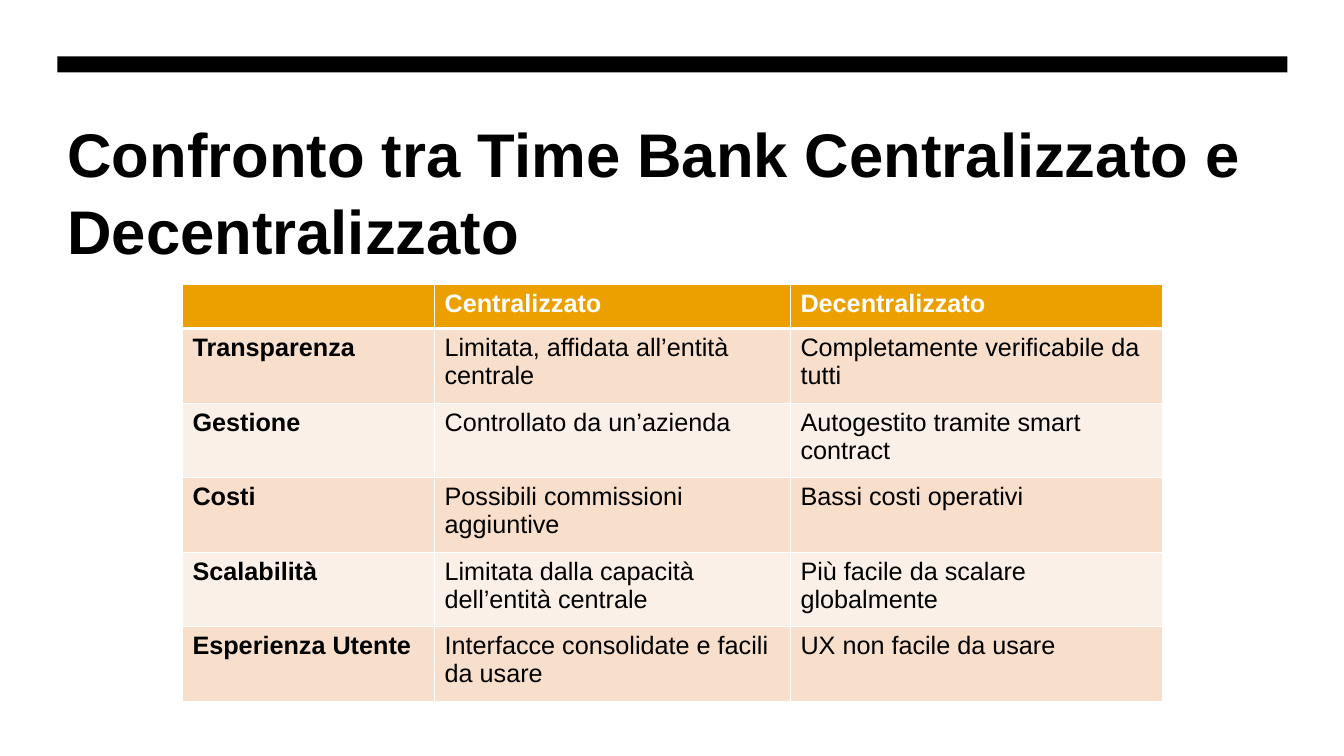
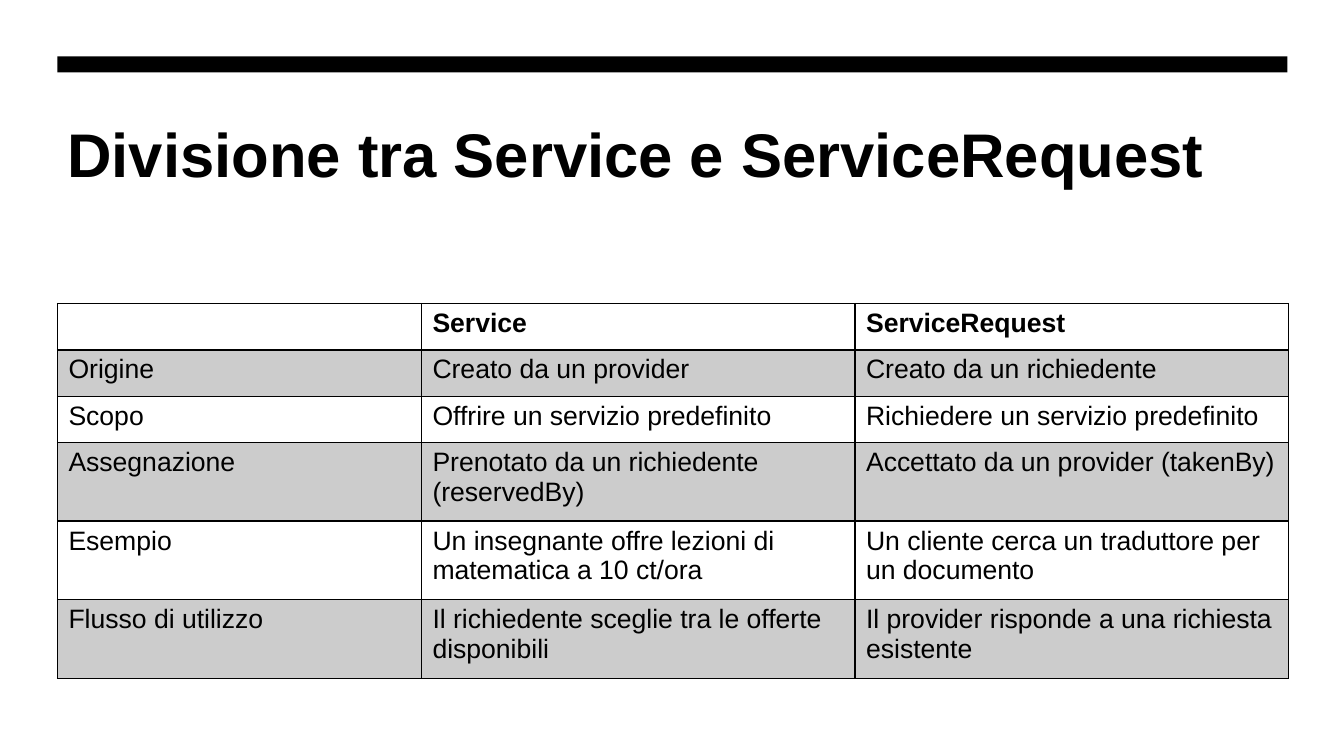
from lxml.etree import SubElement
from pptx import Presentation
from pptx.dml.color import RGBColor
from pptx.enum.shapes import MSO_SHAPE
from pptx.enum.text import MSO_ANCHOR
from pptx.oxml.ns import qn
from pptx.util import Emu, Inches, Pt

FONT = "Arial"
COLORS = {
    "black": "000000",
    "white": "FFFFFF",
    "orange": "EBA000",
    "peach": "F7DFCC",
    "cream": "FBF0E7",
    "gray": "CCCCCC",
}
SLIDE_WIDTH, SLIDE_HEIGHT = 13.33, 7.5
MARGIN = 0.57
CONTENT_WIDTH = 12.2
BAND_TOP, BAND_HEIGHT = 0.56, 0.16
TITLE_TOP, TITLE_HEIGHT = 1.07, 1.6

COMPARISONS = [
    {
        "title": "Confronto tra Time Bank Centralizzato e Decentralizzato",
        "rows": [
            ("", "Centralizzato", "Decentralizzato"),
            ("Transparenza", "Limitata, affidata all’entità centrale",
             "Completamente verificabile da tutti"),
            ("Gestione", "Controllato da un’azienda",
             "Autogestito tramite smart contract"),
            ("Costi", "Possibili commissioni aggiuntive",
             "Bassi costi operativi"),
            ("Scalabilità", "Limitata dalla capacità dell’entità centrale",
             "Più facile da scalare globalmente"),
            ("Esperienza Utente", "Interfacce consolidate e facili da usare",
             "UX non facile da usare"),
        ],
        "left": 1.81,
        "top": 2.82,
        "columns": (2.5, 3.53, 3.69),
        "heights": (0.44,) + (0.74,) * 5,
        "style": {
            "size": 18, "inset": 0.1, "bold_labels": True,
            "header_fill": "orange", "header_color": "white",
            "bands": ("peach", "cream"), "border": "white", "header_rule": 3,
        },
    },
    {
        "title": "Divisione tra Service e ServiceRequest",
        "rows": [
            ("", "Service", "ServiceRequest"),
            ("Origine", "Creato da un provider", "Creato da un richiedente"),
            ("Scopo", "Offrire un servizio predefinito",
             "Richiedere un servizio predefinito"),
            ("Assegnazione", "Prenotato da un richiedente (reservedBy)",
             "Accettato da un provider (takenBy)"),
            ("Esempio", "Un insegnante offre lezioni di matematica a 10 ct/ora",
             "Un cliente cerca un traduttore per un documento"),
            ("Flusso di utilizzo",
             "Il richiedente sceglie tra le offerte disponibili",
             "Il provider risponde a una richiesta esistente"),
        ],
        "left": MARGIN,
        "top": 3.01,
        "columns": (3.61, 4.3, 4.3),
        "heights": (0.46,) * 3 + (0.78,) * 3,
        "style": {
            "size": 19, "inset": 0.11, "bold_labels": False,
            "header_fill": "white", "header_color": "black",
            "bands": ("gray", "white"), "border": "black", "header_rule": 2,
        },
    },
]


def rgb(name):
    return RGBColor.from_string(COLORS[name])


def write_text(text_frame, text, size, color="black", bold=False, spacing=None):
    text_frame.word_wrap = True
    paragraph = text_frame.paragraphs[0]
    paragraph.font.size = Pt(size)
    if spacing:
        paragraph.line_spacing = spacing
    if text:
        run = paragraph.add_run()
        run.text = text
        run.font.name = FONT
        run.font.size = Pt(size)
        run.font.bold = bold
        run.font.color.rgb = rgb(color)


def set_borders(cell, color, widths):
    properties = cell._tc.get_or_add_tcPr()
    for position, (side, width) in enumerate(widths.items()):
        line = properties.makeelement(qn(f"a:ln{side}"), {"w": str(Pt(width))})
        fill = SubElement(line, qn("a:solidFill"))
        SubElement(fill, qn("a:srgbClr"), val=COLORS[color])
        properties.insert(position, line)


def add_band(slide):
    band = slide.shapes.add_shape(
        MSO_SHAPE.RECTANGLE, Inches(MARGIN), Inches(BAND_TOP),
        Inches(CONTENT_WIDTH), Inches(BAND_HEIGHT))
    band.shadow.inherit = False
    band.fill.solid()
    band.fill.fore_color.rgb = rgb("black")
    band.line.fill.background()


def add_title(slide, text):
    title = slide.shapes.add_textbox(
        Inches(MARGIN), Inches(TITLE_TOP),
        Inches(CONTENT_WIDTH), Inches(TITLE_HEIGHT))
    title.text_frame.vertical_anchor = MSO_ANCHOR.TOP
    write_text(title.text_frame, text, size=44, bold=True, spacing=1.04)


def add_comparison_table(slide, comparison):
    rows, style = comparison["rows"], comparison["style"]
    columns, heights = comparison["columns"], comparison["heights"]
    table = slide.shapes.add_table(
        len(rows), len(columns),
        Inches(comparison["left"]), Inches(comparison["top"]),
        Inches(sum(columns)), Inches(sum(heights))).table
    for column, width in zip(table.columns, columns):
        column.width = Inches(width)
    for row, height in zip(table.rows, heights):
        row.height = Inches(height)

    for row_index, row in enumerate(rows):
        header = row_index == 0
        fill = style["header_fill"] if header else style["bands"][(row_index - 1) % 2]
        color = style["header_color"] if header else "black"
        widths = {
            "L": 1, "R": 1,
            "T": style["header_rule"] if row_index == 1 else 1,
            "B": style["header_rule"] if header else 1,
        }
        for column_index, text in enumerate(row):
            cell = table.cell(row_index, column_index)
            cell.margin_left = cell.margin_right = Inches(style["inset"])
            cell.margin_top = cell.margin_bottom = Inches(0.05)
            cell.fill.solid()
            cell.fill.fore_color.rgb = rgb(fill)
            bold = header or (style["bold_labels"] and column_index == 0)
            write_text(cell.text_frame, text, style["size"], color, bold)
            set_borders(cell, style["border"], widths)


def main():
    presentation = Presentation()
    presentation.slide_width = Inches(SLIDE_WIDTH)
    presentation.slide_height = Inches(SLIDE_HEIGHT)
    for comparison in COMPARISONS:
        slide = presentation.slides.add_slide(presentation.slide_layouts[6])
        add_title(slide, comparison["title"])
        add_band(slide)
        add_comparison_table(slide, comparison)
    presentation.save("out.pptx")


if __name__ == "__main__":
    main()
